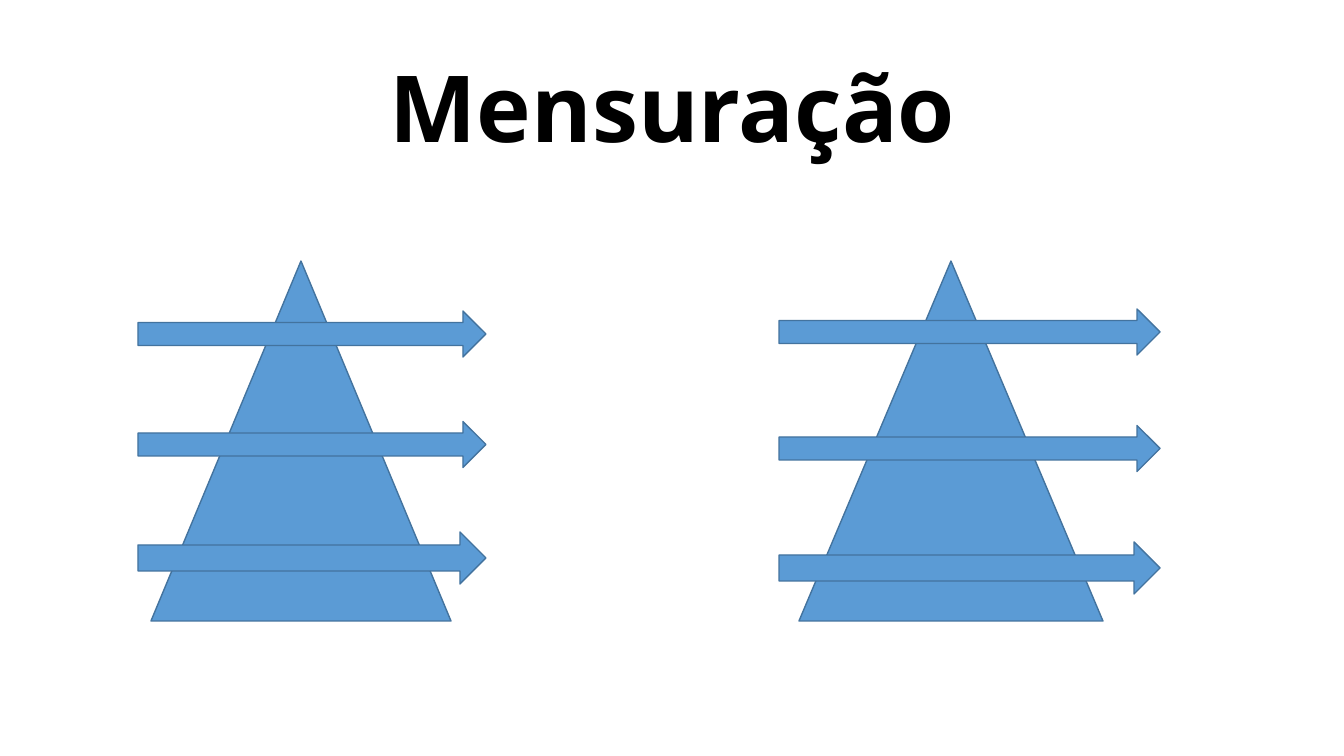
"""Build the Mensuração slide: two triangles, each crossed by three arrows."""
from pptx import Presentation
from pptx.dml.color import RGBColor
from pptx.enum.shapes import MSO_SHAPE
from pptx.enum.text import MSO_ANCHOR, PP_ALIGN
from pptx.util import Emu, Pt

TRIANGLE = MSO_SHAPE.ISOSCELES_TRIANGLE
ARROW = MSO_SHAPE.RIGHT_ARROW
MIDDLE = MSO_ANCHOR.MIDDLE
CENTER = PP_ALIGN.CENTER

TITLE = "Mensuração"
TITLE_BOX = (93, 40, 1159, 146)
FONT = "Noto Sans"
COLORS = {"text": "000000", "fill": "5B9BD5", "line": "43739E"}
TRIANGLE_TOP, TRIANGLE_HEIGHT = 261, 360
ARROW_HEIGHTS = (46, 46, 52)
FIGURES = [
    {"triangle": (151, 300), "arrows": (138, 348), "first_top": 311, "step": 110.5},
    {"triangle": (799, 304), "arrows": (779, 381), "first_top": 309, "step": 116.5},
]
EMU_PER_PIXEL = 914400 / 100.8


def emu(pixels):
    """Turn pixels into EMU."""
    return Emu(round(pixels * EMU_PER_PIXEL))


def color(name):
    """Look up a named colour."""
    return RGBColor.from_string(COLORS[name])


def add_figure_shape(page, kind, *box):
    """Add a filled, outlined shape at a pixel box."""
    shape = page.shapes.add_shape(kind, *map(emu, box))
    shape.shadow.inherit = False
    shape.fill.solid()
    shape.fill.fore_color.rgb = color("fill")
    shape.line.color.rgb = color("line")
    shape.line.width = Pt(1)


deck = Presentation()
deck.slide_width, deck.slide_height = emu(1344), emu(756)
page = deck.slides.add_slide(deck.slide_layouts[5])

title = page.shapes.title
title.left, title.top, title.width, title.height = map(emu, TITLE_BOX)
title.text_frame.text = TITLE
title.text_frame.vertical_anchor = MIDDLE
para = title.text_frame.paragraphs[0]
para.alignment = CENTER
para.line_spacing = 0.9
para.font.name = FONT
para.font.size = Pt(66)
para.font.bold = True
para.font.color.rgb = color("text")

for figure in FIGURES:
    left, width = figure["triangle"]
    add_figure_shape(page, TRIANGLE, left, TRIANGLE_TOP, width, TRIANGLE_HEIGHT)
    left, width = figure["arrows"]
    for row, height in enumerate(ARROW_HEIGHTS):
        top = figure["first_top"] + row * figure["step"]
        add_figure_shape(page, ARROW, left, top, width, height)

deck.save("out.pptx")
